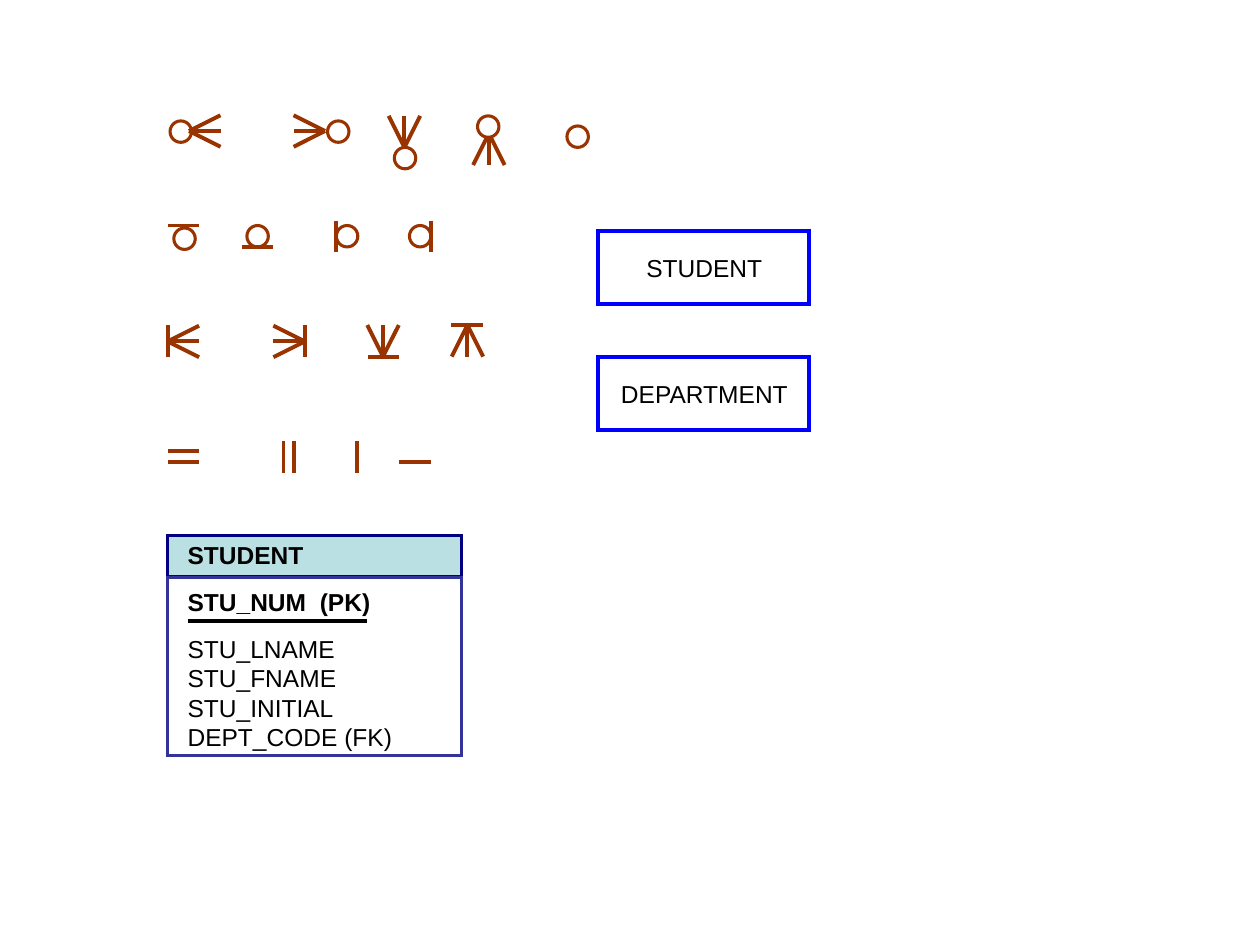
"""Build a slide of entity-relationship diagram symbols and entity boxes."""
from lxml import etree
from pptx import Presentation
from pptx.dml.color import RGBColor
from pptx.enum.shapes import MSO_CONNECTOR, MSO_SHAPE
from pptx.enum.text import MSO_AUTO_SIZE, PP_ALIGN
from pptx.oxml.ns import qn
from pptx.util import Inches, Pt

STRAIGHT = MSO_CONNECTOR.STRAIGHT
OVAL, RECTANGLE = MSO_SHAPE.OVAL, MSO_SHAPE.RECTANGLE
FIT_SHAPE = MSO_AUTO_SIZE.SHAPE_TO_FIT_TEXT
LEFT, CENTER = PP_ALIGN.LEFT, PP_ALIGN.CENTER

BROWN = RGBColor(0x99, 0x33, 0x00)
NAVY = RGBColor(0x00, 0x00, 0x80)
INDIGO = RGBColor(0x33, 0x33, 0x99)
BLUE = RGBColor(0x00, 0x00, 0xFF)
PALE_BLUE = RGBColor(0xBB, 0xE0, 0xE3)
BLACK = RGBColor(0x00, 0x00, 0x00)
WHITE = RGBColor(0xFF, 0xFF, 0xFF)

SYMBOL = 0.25
CIRCLE = 0.17
RIGHTWARD, LEFTWARD, UPWARD, DOWNWARD = (1, 0), (-1, 0), (0, -1), (0, 1)


def add_line(shapes, start, end, color=BROWN):
    """Draw a straight line between two points."""
    line = shapes.add_connector(STRAIGHT, *map(Inches, (*start, *end)))
    line.line.color.rgb = color
    line.line.width = Pt(2.25)
    etree.SubElement(line._element.spPr, qn("a:effectLst"))


def add_outline(shapes, kind, box, color, width=1.75, fill=None):
    """Draw a preset shape with a sharp outline and an optional fill."""
    shape = shapes.add_shape(kind, *map(Inches, box))
    shape.shadow.inherit = False
    shape.line.color.rgb = color
    shape.line.width = Pt(width)
    outline = shape._element.spPr.find(qn("a:ln"))
    etree.SubElement(outline, qn("a:miter"), lim="800000")
    if fill is None:
        shape.fill.background()
    else:
        shape.fill.solid()
        shape.fill.fore_color.rgb = fill


def add_circle(shapes, left, top, fill=None):
    """Draw the small circle that means optional."""
    add_outline(shapes, OVAL, (left, top, CIRCLE, CIRCLE), BROWN, fill=fill)


def add_bar(shapes, left, top, direction):
    """Draw one bar, rightward or downward from its start."""
    end = left + SYMBOL * direction[0], top + SYMBOL * direction[1]
    add_line(shapes, (left, top), end)


def add_crow_foot(shapes, apex, direction):
    """Draw three toes that spread from the apex."""
    x, y = apex
    across, down = direction
    for side in (0, SYMBOL / 2, -SYMBOL / 2):
        toe = x + SYMBOL * across + side * down, y + SYMBOL * down + side * across
        add_line(shapes, apex, toe)


def add_text(shapes, box, lines, align=LEFT):
    """Add a text box; each line is (text, bold, space before)."""
    text_box = shapes.add_textbox(*map(Inches, box))
    frame = text_box.text_frame
    frame.word_wrap = False
    frame.auto_size = FIT_SHAPE
    for index, (text, bold, space) in enumerate(lines):
        paragraph = frame.add_paragraph() if index else frame.paragraphs[0]
        paragraph.alignment = align
        if space:
            paragraph.space_before = Pt(space)
        run = paragraph.add_run()
        run.text = text
        run.font.name = "Arial"
        run.font.size = Pt(14)
        run.font.bold = bold
        run.font.color.rgb = BLACK


def add_optional_many(shapes):
    """Draw the row of crow's feet with circles."""
    for apex, direction, circle, fill in (
        ((1.5, 1.04), RIGHTWARD, (1.35, 0.96), None),
        ((2.58, 1.04), LEFTWARD, (2.6, 0.96), None),
        ((3.21, 1.17), UPWARD, (3.13, 1.17), None),
        ((3.88, 1.06), DOWNWARD, (3.79, 0.92), WHITE),
    ):
        group = shapes.add_group_shape().shapes
        add_crow_foot(group, apex, direction)
        add_circle(group, *circle, fill=fill)
    add_circle(shapes, 4.5, 1)


def add_optional_one(shapes):
    """Draw the row of bars with circles."""
    for bar, direction, circle in (
        ((1.33, 1.79), RIGHTWARD, (1.38, 1.81)),
        ((1.92, 1.96), RIGHTWARD, (1.96, 1.79)),
        ((2.67, 1.75), DOWNWARD, (2.67, 1.79)),
        ((3.42, 1.75), DOWNWARD, (3.25, 1.79)),
    ):
        group = shapes.add_group_shape().shapes
        add_bar(group, *bar, direction)
        add_circle(group, *circle)


def add_mandatory_many(shapes):
    """Draw the row of crow's feet with bars."""
    for apex, direction, bar, bar_direction in (
        ((1.33, 2.71), RIGHTWARD, (1.33, 2.58), DOWNWARD),
        ((2.42, 2.71), LEFTWARD, (2.42, 2.58), DOWNWARD),
        ((3.04, 2.83), UPWARD, (2.92, 2.83), RIGHTWARD),
        ((3.71, 2.58), DOWNWARD, (3.58, 2.58), RIGHTWARD),
    ):
        group = shapes.add_group_shape().shapes
        add_crow_foot(group, apex, direction)
        add_bar(group, *bar, bar_direction)


def add_mandatory_one(shapes):
    """Draw the row of double and single bars."""
    for bars, direction in (
        (((1.33, 3.58), (1.33, 3.67)), RIGHTWARD),
        (((2.25, 3.5), (2.33, 3.5)), DOWNWARD),
    ):
        group = shapes.add_group_shape().shapes
        for bar in bars:
            add_bar(group, *bar, direction)
    add_bar(shapes, 2.83, 3.5, DOWNWARD)
    add_bar(shapes, 3.17, 3.67, RIGHTWARD)


def add_entity(shapes, top, name, left, width, align):
    """Draw a blue entity box with its name."""
    add_outline(shapes, RECTANGLE, (4.75, top, 1.67, 0.58), BLUE, 2.25)
    add_text(shapes, (left, top + 0.13, width, 0.34), [(name, False, 0)], align)


def add_student_attributes(shapes):
    """Draw the student entity with its keys and attributes."""
    add_outline(shapes, RECTANGLE, (1.33, 4.25, 2.33, 0.33), NAVY, fill=PALE_BLUE)
    add_outline(shapes, RECTANGLE, (1.33, 4.58, 2.33, 1.42), INDIGO)
    add_text(shapes, (1.39, 4.24, 1.12, 0.34), [("STUDENT", True, 0)])
    add_text(shapes, (1.39, 4.61, 1.88, 1.4), [
        ("STU_NUM  (PK)", True, 0),
        ("STU_LNAME", False, 10),
        ("STU_FNAME", False, 0),
        ("STU_INITIAL", False, 0),
        ("DEPT_CODE (FK)", False, 0),
    ])
    add_line(shapes, (1.49, 4.93), (2.91, 4.93), BLACK)


def main():
    """Build and save the presentation."""
    presentation = Presentation()
    presentation.slide_width = Inches(10)
    presentation.slide_height = Inches(7.5)
    shapes = presentation.slides.add_slide(presentation.slide_layouts[6]).shapes
    add_optional_many(shapes)
    add_optional_one(shapes)
    add_mandatory_many(shapes)
    add_mandatory_one(shapes)
    add_student_attributes(shapes)
    add_entity(shapes, 1.83, "STUDENT", 5.03, 1.12, CENTER)
    add_entity(shapes, 2.83, "DEPARTMENT", 4.83, 1.54, LEFT)
    presentation.save("out.pptx")


if __name__ == "__main__":
    main()
